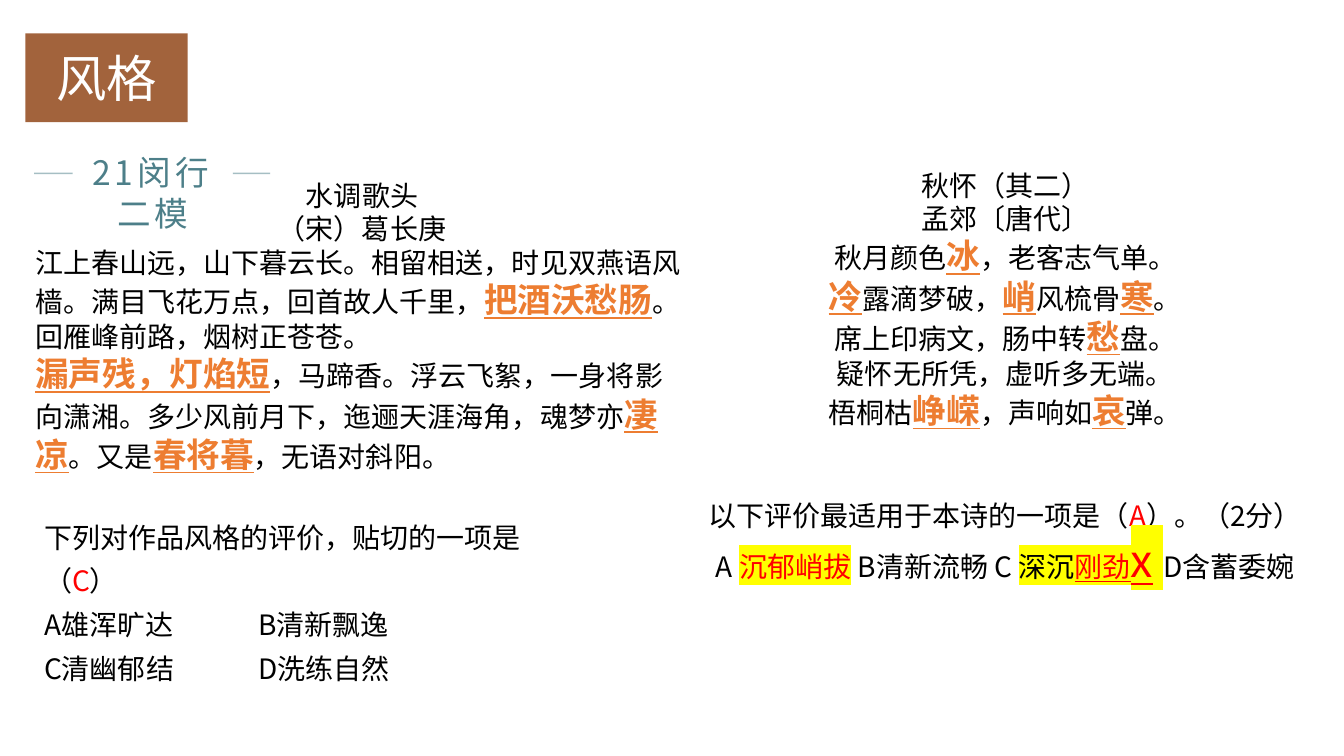
import pptx
import pptx.dml.color
import pptx.enum.shapes
import pptx.enum.text
import pptx.oxml.ns
import pptx.util
from lxml import etree

Cm = pptx.util.Cm
Pt = pptx.util.Pt
qn = pptx.oxml.ns.qn
CENTER = pptx.enum.text.PP_ALIGN.CENTER

COLORS = {
    "brown": "A2633C",
    "teal": "4D7F89",
    "black": "000000",
    "white": "FFFFFF",
    "orange": "ED7D31",
    "red": "FF0000",
    "yellow": "FFFF00",
}
RUN_STYLES = {
    "plain": {},
    "key": {"size": 24, "color": "orange", "bold": True, "underline": True},
    "answer": {"color": "red"},
    "right": {"color": "red", "highlight": "yellow"},
    "half": {"highlight": "yellow"},
    "wrong": {"color": "red", "underline": True, "highlight": "yellow"},
    "cross": {"size": 32, "color": "red", "underline": True, "highlight": "yellow"},
    "gap": {"size": 32, "highlight": "yellow"},
}


def rgb(name):
    return pptx.dml.color.RGBColor.from_string(COLORS[name])


def verse(line):
    """Split a line at bars; every second piece is a key phrase."""
    return [(piece, "key" if i % 2 else "plain")
            for i, piece in enumerate(line.split("|")) if piece]


class StyleSlide:
    font_name = "Noto Sans CJK SC"

    def __init__(self, presentation):
        self.slide = presentation.slides.add_slide(presentation.slide_layouts[5])

    def format_run(self, run, size=20, color="black", bold=False,
                   underline=False, highlight=None):
        font = run.font
        font.size, font.bold, font.underline = Pt(size), bold, underline
        font.fill.solid()
        font.fill.fore_color.rgb = rgb(color)
        properties = font._element
        if highlight:
            mark = etree.SubElement(properties, qn("a:highlight"))
            etree.SubElement(mark, qn("a:srgbClr"), val=COLORS[highlight])
        font.name = self.font_name
        etree.SubElement(properties, qn("a:ea"), typeface=self.font_name)

    def pill_title(self, text, left, top, width, height):
        title = self.slide.shapes.title
        title.left, title.top = Cm(left), Cm(top)
        title.width, title.height = Cm(width), Cm(height)
        outline = etree.SubElement(title._element.spPr, qn("a:prstGeom"), prst="roundRect")
        etree.SubElement(outline, qn("a:avLst"))
        title.adjustments[0] = 0.5
        title.fill.solid()
        title.fill.fore_color.rgb = rgb("brown")
        frame = title.text_frame
        frame.text = text
        frame.auto_size = pptx.enum.text.MSO_AUTO_SIZE.NONE
        frame.vertical_anchor = pptx.enum.text.MSO_ANCHOR.MIDDLE
        frame.paragraphs[0].alignment = CENTER
        self.format_run(frame.paragraphs[0].runs[0], size=36, color="white")

    def text(self, paragraphs, left, top, width, height):
        """Add a box; each paragraph is a list of (text, run style) pairs."""
        box = self.slide.shapes.add_textbox(Cm(left), Cm(top), Cm(width), Cm(height))
        frame = box.text_frame
        frame.word_wrap = True
        frame.auto_size = pptx.enum.text.MSO_AUTO_SIZE.SHAPE_TO_FIT_TEXT
        for i, pieces in enumerate(paragraphs):
            paragraph = frame.add_paragraph() if i else frame.paragraphs[0]
            for piece, style in pieces:
                run = paragraph.add_run()
                run.text = piece
                self.format_run(run, **RUN_STYLES[style])
        return frame.paragraphs

    def source_label(self, text, left, top, width, height):
        paragraph = self.text([[(text, "plain")]], left, top, width, height)[0]
        paragraph.alignment = CENTER
        font = paragraph.runs[0].font
        font.size = Pt(24)
        font.fill.gradient()
        font.fill.gradient_angle = 0
        for stop, color in zip(font.fill.gradient_stops, ("teal", "brown")):
            stop.color.rgb = rgb(color)
        font._element.set("spc", "300")

    def dash(self, left, right, y):
        dash = self.slide.shapes.add_connector(
            pptx.enum.shapes.MSO_CONNECTOR.STRAIGHT, Cm(left), Cm(y), Cm(right), Cm(y))
        dash.line.width = Pt(1)
        dash.line.color.rgb = rgb("teal")
        color = dash._element.spPr.find(".//" + qn("a:srgbClr"))
        etree.SubElement(color, qn("a:alpha"), val="50000")
        etree.SubElement(dash._element.spPr, qn("a:effectLst"))


def main():
    presentation = pptx.Presentation()
    presentation.slide_width, presentation.slide_height = Cm(33.87), Cm(19.05)
    page = StyleSlide(presentation)
    page.pill_title("风格", 0.64, 0.84, 4.09, 2.24)

    ci_question = page.text([
        [("下列对作品风格的评价，贴切的一项是（", "plain"), ("C", "answer"), ("）", "plain")],
        [("A雄浑旷达\tB清新飘逸", "plain")],
        [("C清幽郁结\tD洗练自然", "plain")],
    ], 0.86, 12.73, 14, 3.58)
    for paragraph in ci_question:
        paragraph.line_spacing = 1.3
    for options in ci_question[1:]:
        tabs = etree.SubElement(options._p.get_or_add_pPr(), qn("a:tabLst"))
        etree.SubElement(tabs, qn("a:tab"), pos=str(Cm(5.4)), algn="l")

    for left, right in ((0.86, 1.83), (5.87, 6.81)):
        page.dash(left, right, 4.37)
    page.source_label("21闵行二模", 1.88, 3.71, 3.94, 2.31)

    ci = page.text([verse(line) for line in (
        "水调歌头",
        "（宋）葛长庚",
        "江上春山远，山下暮云长。相留相送，时见双燕语风樯。满目飞花万点，"
        "回首故人千里，|把酒沃愁肠|。回雁峰前路，烟树正苍苍。",
        "|漏声残，灯焰短|，马蹄香。浮云飞絮，一身将影向潇湘。多少风前月下，"
        "迤逦天涯海角，魂梦亦|凄凉|。又是|春将暮|，无语对斜阳。",
    )], 0.64, 4.37, 16.97, 7.77)
    for heading in ci[:2]:
        heading.alignment = CENTER

    poem = [verse(line) for line in (
        "秋怀（其二）",
        "孟郊〔唐代〕",
        "秋月颜色|冰|，老客志气单。",
        "|冷|露滴梦破，|峭|风梳骨|寒|。",
        "席上印病文，肠中转|愁|盘。",
        "疑怀无所凭，虚听多无端。",
        "梧桐枯|峥嵘|，声响如|哀|弹。",
    )]
    poem_question = [
        [("以下评价最适用于本诗的一项是（", "plain"), ("A", "answer"), ("）。（2分）", "plain")],
        [("A ", "plain"), ("沉郁峭拔", "right"), (" B清新流畅 C ", "plain"),
         ("深沉", "half"), ("刚劲", "wrong"), ("x", "cross"), (" ", "gap"),
         ("D含蓄委婉", "plain")],
    ]
    lines = page.text(poem + poem_question, 17.6, 4.11, 15.47, 11.71)
    for line in lines:
        line.alignment = CENTER
    question = lines[len(poem)]
    question.alignment = pptx.enum.text.PP_ALIGN.LEFT
    question.space_before = Pt(49)

    presentation.save("out.pptx")


if __name__ == "__main__":
    main()
